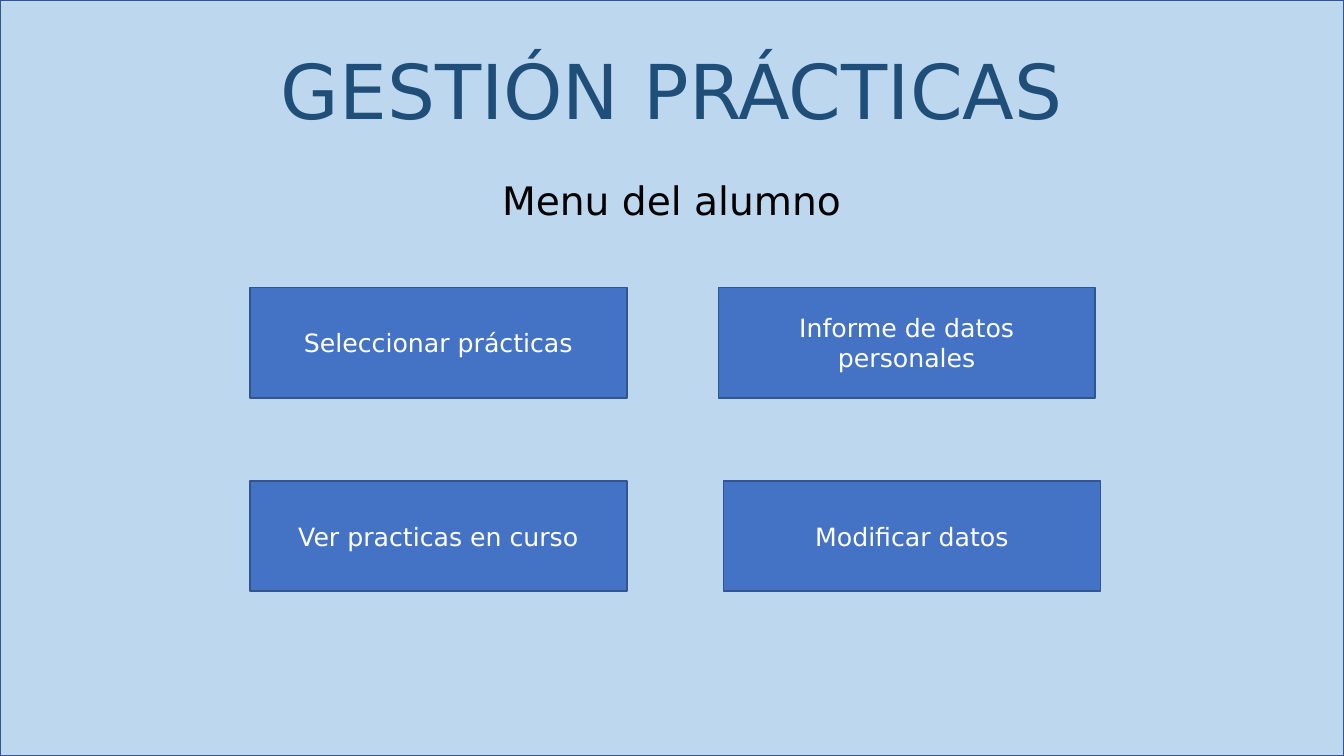
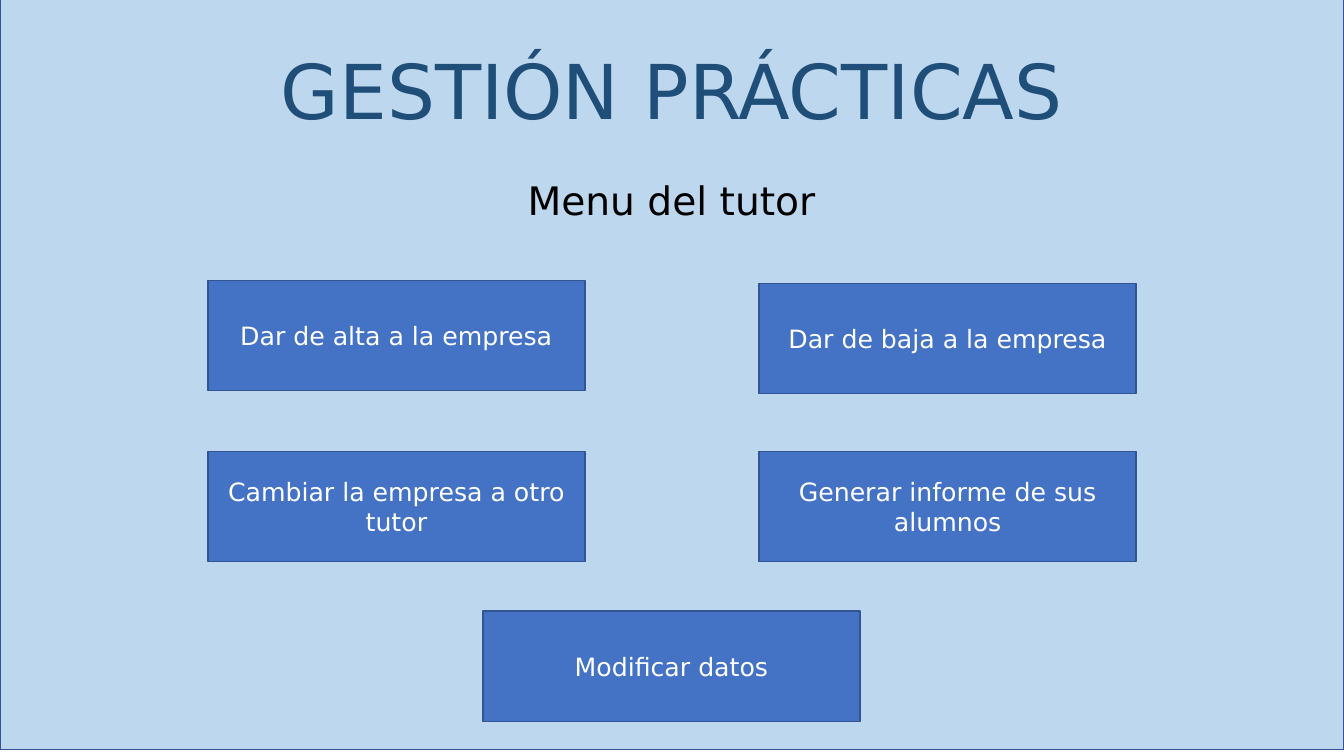
from pptx import Presentation
from pptx.dml.color import RGBColor
from pptx.enum.shapes import MSO_SHAPE
from pptx.enum.text import MSO_ANCHOR, MSO_AUTO_SIZE, PP_ALIGN
from pptx.util import Emu, Pt

EMU_PER_PX = 9525
SLIDE_W, SLIDE_H = 1280, 720
BUTTON_W, BUTTON_H = 359, 105
FONT = "DejaVu Sans"
BACKDROP, BUTTON, OUTLINE = "BDD7EE", "4472C4", "325491"
TITLE_COLOR, SUBTITLE_COLOR, BUTTON_TEXT = "1F4E79", "000000", "FFFFFF"

MENUS = [
    {
        "subtitle": "Menu del alumno",
        "subtitle_width": 345,
        "backdrop_top": 0,
        "buttons": [
            ("Seleccionar prácticas", 238, 274),
            ("Informe de datos personales", 684, 274),
            ("Ver practicas en curso", 238, 458),
            ("Modificar datos", 689, 458),
        ],
    },
    {
        "subtitle": "Menu del tutor",
        "subtitle_width": 297,
        "backdrop_top": -6,
        "buttons": [
            ("Dar de alta a la empresa", 198, 267),
            ("Dar de baja a la empresa", 723, 270),
            ("Cambiar la empresa a otro tutor", 198, 430),
            ("Generar informe de sus alumnos", 723, 430),
            ("Modificar datos", (SLIDE_W - BUTTON_W) // 2, 582),
        ],
    },
]


def px(*lengths):
    return [Emu(length * EMU_PER_PX) for length in lengths]


def color(hex_value):
    return RGBColor.from_string(hex_value)


def write(frame, text, *, size, ink, wrap=True):
    frame.word_wrap = wrap
    paragraph = frame.paragraphs[0]
    paragraph.alignment = PP_ALIGN.CENTER
    run = paragraph.add_run()
    run.text = text
    run.font.name = FONT
    run.font.size = Pt(size)
    run.font.color.rgb = color(ink)


def add_panel(slide, left, top, width, height, fill):
    panel = slide.shapes.add_shape(MSO_SHAPE.RECTANGLE, *px(left, top, width, height))
    panel.shadow.inherit = False
    panel.fill.solid()
    panel.fill.fore_color.rgb = color(fill)
    panel.line.color.rgb = color(OUTLINE)
    panel.line.width = Pt(1)
    return panel


def add_button(slide, caption, left, top):
    button = add_panel(slide, left, top, BUTTON_W, BUTTON_H, BUTTON)
    button.text_frame.vertical_anchor = MSO_ANCHOR.MIDDLE
    write(button.text_frame, caption, size=18, ink=BUTTON_TEXT)


def add_heading(slide, text, top, width, height, **style):
    left = (SLIDE_W - width) // 2
    heading = slide.shapes.add_textbox(*px(left, top, width, height))
    heading.text_frame.auto_size = MSO_AUTO_SIZE.SHAPE_TO_FIT_TEXT
    write(heading.text_frame, text, wrap=False, **style)


def add_menu(deck, subtitle, subtitle_width, backdrop_top, buttons):
    slide = deck.slides.add_slide(deck.slide_layouts[6])
    add_panel(slide, 0, backdrop_top, SLIDE_W, SLIDE_H, BACKDROP)
    add_heading(slide, "GESTIÓN PRÁCTICAS", 37, 804, 97, size=54, ink=TITLE_COLOR)
    add_heading(slide, subtitle, 163, subtitle_width, 55, size=28, ink=SUBTITLE_COLOR)
    for caption, left, top in buttons:
        add_button(slide, caption, left, top)


def main():
    deck = Presentation()
    deck.slide_width, deck.slide_height = px(SLIDE_W, SLIDE_H)
    for menu in MENUS:
        add_menu(deck, **menu)
    deck.save("out.pptx")


if __name__ == "__main__":
    main()
